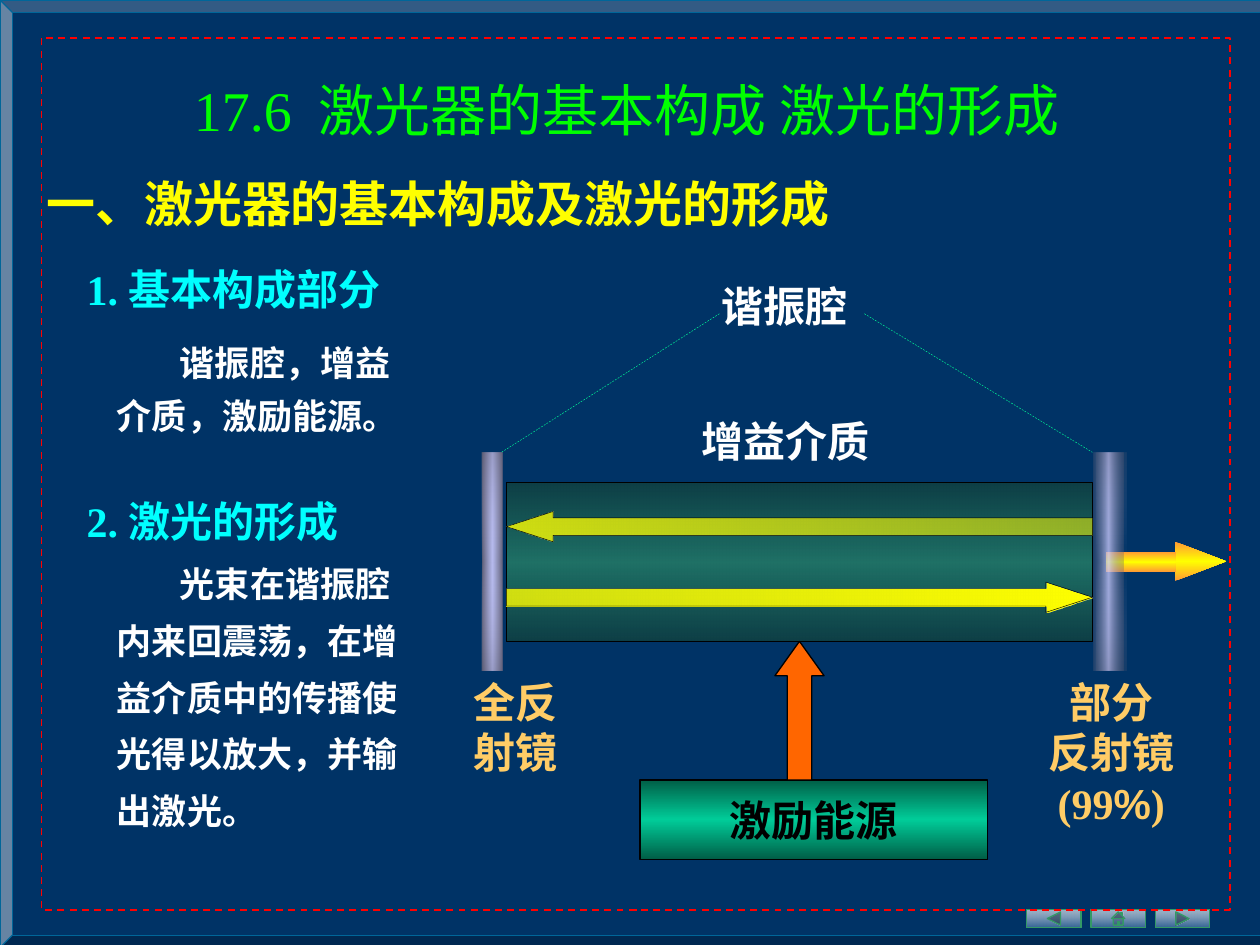
import pptx
import pptx.util
import pptx.dml.color
import pptx.enum.dml
import pptx.enum.shapes
import pptx.enum.text
import pptx.oxml
import pptx.oxml.ns

Inches = pptx.util.Inches
Pt = pptx.util.Pt
MSO = pptx.enum.shapes.MSO_SHAPE
ALIGN = pptx.enum.text.PP_ALIGN
DASH = pptx.enum.dml.MSO_LINE.DASH
NS = pptx.oxml.ns.nsdecls("a")
SERIF, CJK, SANS = "Times New Roman", "Noto Sans CJK SC", "Arial"
C = {
    "navy": "003366", "edge": "006699", "red": "FF0000", "yellow": "FFFF00",
    "title": "00FF00", "cyan": "00FFFF", "white": "FFFFFF", "label": "FFCC66",
    "black": "000000", "pump": "FF6600", "mint": "00CC99", "mint_dark": "005E46",
    "medium": "339966", "medium_dark": "17462F", "glass": "CCCCFF",
    "glass_dark": "5E5E75", "beam": "FF9933", "guide": "00FF99", "button": "336699",
}


def rgb(name):
    return pptx.dml.color.RGBColor.from_string(C[name])


def gradient(sp, stops, angle):
    gs = "".join(
        f'<a:gs pos="{pos * 1000}"><a:srgbClr val="{C[name]}">'
        f'<a:alpha val="{alpha * 1000}"/></a:srgbClr></a:gs>'
        for pos, name, alpha in stops)
    fill = pptx.oxml.parse_xml(
        f'<a:gradFill {NS} rotWithShape="0"><a:gsLst>{gs}</a:gsLst>'
        f'<a:lin ang="{angle * 60000}" scaled="0"/></a:gradFill>')
    sp._element.spPr.find(pptx.oxml.ns.qn("a:prstGeom")).addnext(fill)


def mirrored(edge, middle, edge_alpha=100, middle_alpha=100):
    return [(0, edge, edge_alpha), (50, middle, middle_alpha), (100, edge, edge_alpha)]


def shape(shapes, kind, x, y, w, h, fill=None, stops=None, angle=90,
          line=None, width=0.75, adj=()):
    sp = shapes.add_shape(kind, Inches(x), Inches(y), Inches(w), Inches(h))
    sp.shadow.inherit = False
    for i, value in enumerate(adj):
        sp.adjustments[i] = value
    if stops:
        gradient(sp, stops, angle)
    elif fill:
        sp.fill.solid()
        sp.fill.fore_color.rgb = rgb(fill)
    else:
        sp.fill.background()
    if line:
        sp.line.color.rgb = rgb(line)
        sp.line.width = Pt(width)
    else:
        sp.line.fill.background()
    return sp


def write(p, text, color, size, name=SERIF, bold=True):
    r = p.add_run()
    r.text = text
    for key, value in {"size": Pt(size), "bold": bold, "name": name}.items():
        setattr(r.font, key, value)
    r.font.color.rgb = rgb(color)
    r.font._element.find(pptx.oxml.ns.qn("a:latin")).addnext(
        pptx.oxml.parse_xml(f'<a:ea {NS} typeface="{CJK}"/>'))


def text_box(s, x, y, w, h, text, color, size, name=SERIF, **fmt):
    tf = s.shapes.add_textbox(Inches(x), Inches(y), Inches(w), Inches(h)).text_frame
    tf.word_wrap = True
    p = tf.paragraphs[0]
    for key, value in fmt.items():
        setattr(p, key, value)
    if text:
        write(p, text, color, size, name)
    return tf


def frame(s, x, y, w, h):
    shape(s.shapes, MSO.BEVEL, x, y, w, h, fill="navy", line="edge", adj=[0.013])
    kinds = [MSO.ACTION_BUTTON_BACK_OR_PREVIOUS, MSO.ACTION_BUTTON_HOME,
             MSO.ACTION_BUTTON_FORWARD_OR_NEXT]
    for i, kind in enumerate(kinds):
        shape(s.shapes, kind, x + 8.15 + 0.51 * i, y + 7.22, 0.43, 0.14,
              stops=[(0, "white", 62), (100, "button", 89)], line="medium", width=0)
    border = shape(s.shapes, MSO.RECTANGLE, x + 0.33, y + 0.3, 9.43, 6.92,
                   line="red", width=1)
    border.line.dash_style = DASH.DASH


def headings(s, x, y):
    tf = text_box(s, x + 1.11, y, 7.19, 0.64, "", "title", 32, alignment=ALIGN.CENTER)
    tf.word_wrap = False
    write(tf.paragraphs[0], "17.6 ", "title", 32, bold=False)
    write(tf.paragraphs[0], " 激光器的基本构成 激光的形成", "title", 32, CJK, False)
    tf = text_box(s, x, y + 0.67, 7.2, 0.72, "一、激光器的基本构成及激光的形成",
                  "yellow", 28, CJK)
    tf.margin_top = Inches(0.16)


def section(s, x, y, title, body, body_top, body_height, spacing):
    text_box(s, x, y, 3.7, 0.6, title, "cyan", 24, line_spacing=1.25)
    tf = text_box(s, x + 0.24, y + body_top, 2.44, body_height, body, "white", 20,
                  line_spacing=spacing)
    tf.paragraphs[0]._p.get_or_add_pPr().set("indent", str(Inches(0.5)))


def guide(s, x1, y1, x2, y2):
    cn = s.shapes.add_connector(pptx.enum.shapes.MSO_CONNECTOR.STRAIGHT,
                                Inches(x1), Inches(y1), Inches(x2), Inches(y2))
    cn.line.color.rgb = rgb("guide")
    cn.line.width = Pt(0.25)
    cn.line.dash_style = DASH.DASH
    cn._element.spPr.append(pptx.oxml.parse_xml(f"<a:effectLst {NS}/>"))


def mirror(s, x, y, w, stops, angle):
    shape(s.shapes, MSO.RECTANGLE, x, y, w, 1.73, stops=stops, angle=angle)


def partial_mirror_label(s, x, y):
    tf = text_box(s, x, y, 1.3, 1.3, "部分", "label", 24, CJK, alignment=ALIGN.CENTER)
    tf.paragraphs[0].add_line_break()
    write(tf.paragraphs[0], "反射镜", "label", 24, CJK)
    p = tf.add_paragraph()
    p.alignment = ALIGN.CENTER
    for text, name in [("(99", SERIF), ("%", SANS), (")", SERIF)]:
        write(p, text, "label", 24, name)


def output_beam(s, x, y):
    group = s.shapes.add_group_shape()
    stops = mirrored("beam", "yellow")
    shape(group.shapes, MSO.RIGHT_ARROW, x + 0.54, y, 0.41, 0.31,
          stops=stops, adj=[0.2, 1.3])
    shape(group.shapes, MSO.RECTANGLE, x, y + 0.08, 0.55, 0.16, stops=stops)


def pump(s, x, y):
    sp = shape(s.shapes, MSO.RECTANGLE, x, y + 1.1, 2.76, 0.63,
               stops=mirrored("mint_dark", "mint"), line="black")
    tf = sp.text_frame
    tf.word_wrap = False
    tf.vertical_anchor = pptx.enum.text.MSO_ANCHOR.MIDDLE
    tf.paragraphs[0].alignment = ALIGN.CENTER
    write(tf.paragraphs[0], "激励能源", "black", 24)
    shape(s.shapes, MSO.UP_ARROW, x + 1.07, y, 0.39, 1.1, fill="pump",
          line="black", adj=[0.5, 0.7])


def cavity(s, x, y):
    left, right, rod_w = x + 0.19, x + 4.85, 4.65
    mirror(s, x, y, 0.16, mirrored("glass_dark", "glass", 100, 90), 180)
    pump(s, x + 1.25, y + 1.5)
    shape(s.shapes, MSO.RECTANGLE, left, y + 0.24, rod_w, 1.26,
          stops=mirrored("medium_dark", "medium", 58, 61), line="black")
    text_box(s, x + 1.64, y - 0.34, 1.89, 0.5, "增益介质", "white", 24)
    text_box(s, x + 1.8, y - 1.41, 1.5, 0.5, "谐振腔", "white", 24)
    output_beam(s, x + 4.95, y + 0.71)
    text_box(s, x - 0.17, y + 1.73, 1.03, 0.9, "全反射镜", "label", 24)
    partial_mirror_label(s, x + 4.34, y + 1.73)
    guide(s, x + 1.88, y - 1.1, x + 0.15, y)
    guide(s, x + 3.03, y - 1.1, x + 4.84, y)
    mirror(s, right, y, 0.24, mirrored("glass_dark", "glass", 30, 78), 180)
    for top, start, end, angle, turn in [(0.47, 52, 80, 180, 0), (1.03, 80, 100, 0, 180)]:
        sp = shape(s.shapes, MSO.LEFT_ARROW, left, y + top, rod_w, 0.24,
                   stops=[(0, "yellow", start), (100, "yellow", end)], angle=angle,
                   line="black", width=0.25, adj=[0.58, 1.54])
        sp.rotation = turn
    mirror(s, x - 0.01, y, 0.16, mirrored("glass_dark", "glass", 32, 0), 90)
    mirror(s, right + 0.02, y, 0.24, mirrored("glass_dark", "glass", 23, 0), 90)


def main():
    prs = pptx.Presentation()
    prs.slide_width, prs.slide_height = Inches(10), Inches(7.5)
    s = prs.slides.add_slide(prs.slide_layouts[6])
    frame(s, 0, 0, 10.1, 7.52)
    headings(s, 0.27, 0.55)
    cavity(s, 3.83, 3.59)
    section(s, 0.59, 1.94, "1. 基本构成部分", "谐振腔，增益介质，激励能源。",
            0.64, 0.94, 1.25)
    section(s, 0.59, 3.78, "2. 激光的形成",
            "光束在谐振腔内来回震荡，在增益介质中的传播使光得以放大，并输出激光。",
            0.52, 2.35, 1.35)
    prs.save("out.pptx")


if __name__ == "__main__":
    main()
